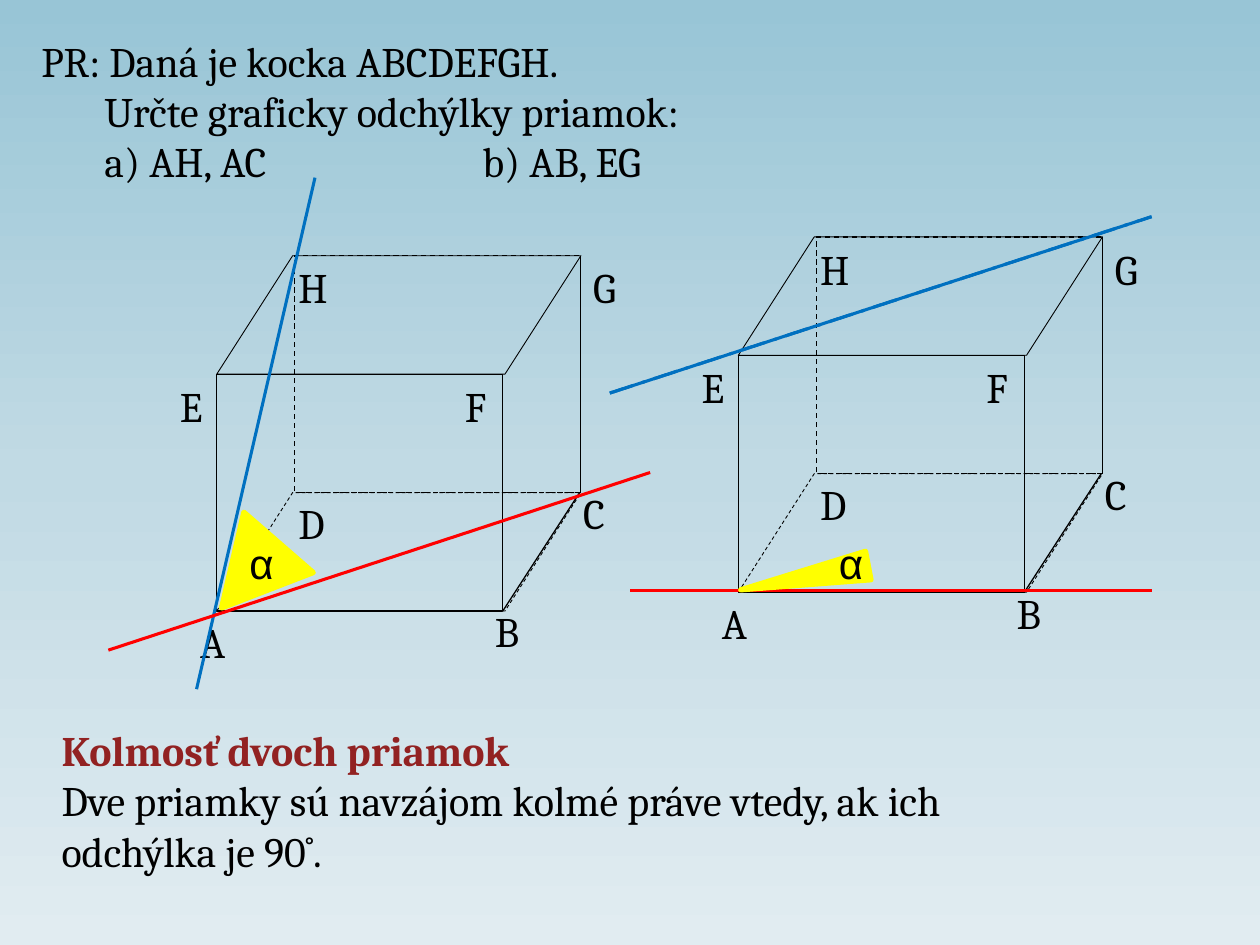
from copy import deepcopy

from pptx import Presentation
from pptx.dml.color import RGBColor
from pptx.enum.dml import MSO_LINE
from pptx.enum.shapes import MSO_CONNECTOR, MSO_SHAPE
from pptx.enum.text import MSO_AUTO_SIZE, PP_ALIGN
from pptx.oxml.ns import qn
from pptx.oxml.xmlchemy import OxmlElement
from pptx.util import Inches, Pt

STRAIGHT = MSO_CONNECTOR.STRAIGHT
PARALLELOGRAM = MSO_SHAPE.PARALLELOGRAM
RECTANGLE = MSO_SHAPE.RECTANGLE
TRIANGLE = MSO_SHAPE.FLOWCHART_MERGE
DASH = MSO_LINE.DASH
LONG_DASH_DOT = MSO_LINE.LONG_DASH_DOT
GROW = MSO_AUTO_SIZE.SHAPE_TO_FIT_TEXT
LEFT = PP_ALIGN.LEFT

BLACK = RGBColor(0x00, 0x00, 0x00)
RED = RGBColor(0xFF, 0x00, 0x00)
BLUE = RGBColor(0x00, 0x70, 0xC0)
YELLOW = RGBColor(0xFF, 0xFF, 0x00)
MAROON = RGBColor(0x92, 0x22, 0x22)
SKY = [(0, RGBColor(0x98, 0xC5, 0xD6)),
       (0.5, RGBColor(0xC1, 0xDA, 0xE4)),
       (1, RGBColor(0xE1, 0xEC, 0xF1))]

# Cube in oblique projection
EDGE = 2.27       # width of the front face
HEIGHT = 1.88     # height of the front face
SHIFT = 0.62      # sideways shift of the back face
RISE = 0.94       # upward shift of the back face
SPAN = EDGE + SHIFT
VERTEX_LABELS = {  # label offsets from the top left of the cube
    "B": (2.11, 2.73), "A": (-0.23, 2.81), "C": (2.81, 1.79),
    "D": (0.55, 1.87), "E": (-0.39, 0.94), "F": (1.87, 0.94),
    "G": (2.89, 0), "H": (0.55, 0),
}


def add_background(page):
    fill = page.background.fill
    fill.gradient()
    fill.gradient_angle = 270
    first = page.element.find(".//" + qn("a:gs"))
    first.addnext(deepcopy(first))
    for stop, (position, color) in zip(fill.gradient_stops, SKY):
        stop.position = position
        stop.color.rgb = color


def add_line(shapes, start, end, color=BLACK, width=0.75, dash=None):
    line = shapes.add_connector(STRAIGHT, *map(Inches, start + end))
    line.line.color.rgb = color
    line.line.width = Pt(width)
    if dash:
        line.line.dash_style = dash
    line._element.spPr.append(OxmlElement("a:effectLst"))


def add_shape(shapes, kind, box, color=BLACK, width=0.75, dash=None, fill=None):
    shape = shapes.add_shape(kind, *map(Inches, box))
    shape.shadow.inherit = False
    if fill:
        shape.fill.solid()
        shape.fill.fore_color.rgb = fill
    else:
        shape.fill.background()
    shape.line.color.rgb = color
    shape.line.width = Pt(width)
    if dash:
        shape.line.dash_style = dash
    return shape


def add_text(shapes, box, lines, font="Cambria", hanging=0, heading=None):
    """Place lines of text; the heading line is bold and maroon."""
    text_box = shapes.add_textbox(*map(Inches, box))
    frame = text_box.text_frame
    frame.word_wrap = True
    frame.auto_size = GROW
    for index, text in enumerate(lines):
        para = frame.paragraphs[0] if index == 0 else frame.add_paragraph()
        para.alignment = LEFT
        if hanging:
            properties = para._p.get_or_add_pPr()
            properties.set("marL", str(Inches(hanging)))
            properties.set("indent", str(-Inches(hanging)))
        span = para.add_run()
        span.text = text
        span.font.name = font
        span.font.size = Pt(24)
        span.font.bold = text == heading
        span.font.color.rgb = MAROON if text == heading else BLACK


def add_cube(page, left, top):
    shapes = page.shapes.add_group_shape().shapes
    right, middle = left + SPAN, top + HEIGHT
    # Edge CG, then base, front, top and back faces
    add_line(shapes, (right, top), (right, middle))
    faces = [
        (PARALLELOGRAM, (left, middle, SPAN, RISE), 0.5, DASH),
        (RECTANGLE, (left, top + RISE, EDGE, HEIGHT), 0.75, None),
        (PARALLELOGRAM, (left, top, SPAN, RISE), 0.5, None),
        (RECTANGLE, (left + SHIFT, top, EDGE, HEIGHT), 0.75, DASH),
    ]
    for kind, box, width, dash in faces:
        face = add_shape(shapes, kind, box, width=width, dash=dash)
        if kind == PARALLELOGRAM:
            face.adjustments[0] = 0.641
    # Edge BC
    add_line(shapes, (right - 0.01, middle), (left + EDGE, middle + RISE))
    for name, (x, y) in VERTEX_LABELS.items():
        add_text(shapes, (left + x, top + y, 0.39, 0.5), [name])


def add_angle(page, box, rotation, label_left):
    wedge = add_shape(page.shapes, TRIANGLE, box, YELLOW, 3, fill=YELLOW)
    wedge.rotation = rotation
    add_text(page.shapes, (label_left, 4.22, 0.31, 0.51), ["α"], font="Arial")


def main():
    deck = Presentation()
    deck.slide_width, deck.slide_height = Inches(10), Inches(7.5)
    page = deck.slides.add_slide(deck.slide_layouts[6])
    shapes = page.shapes
    add_background(page)

    # Definition and exercise
    heading = "Kolmosť dvoch priamok"
    add_text(shapes, (0.39, 5.7, 9.77, 1.31), [
        heading,
        "Dve priamky sú navzájom kolmé práve vtedy, ak ich",
        "odchýlka je 90˚.",
    ], hanging=0.5, heading=heading)
    add_text(shapes, (0.23, 0.23, 9.53, 1.31), [
        "PR: Daná je kocka ABCDEFGH.",
        "\tUrčte graficky odchýlky priamok:",
        "\ta) AH, AC\t\t\t\tb) AB, EG",
    ], hanging=0.5)

    # b) lines AB and EG
    line_eg = (4.84, 3.12), (9.14, 1.72)
    add_cube(page, 5.86, 1.88)
    add_line(shapes, (5, 4.69), (9.14, 4.69), RED, 1.75)
    add_line(shapes, *line_eg, BLUE, 1.75)

    # a) lines AH and AC
    add_cube(page, 1.72, 2.03)
    add_line(shapes, (1.56, 5.47), (2.5, 1.41), BLUE, 1.75)
    add_line(shapes, (0.86, 5.16), (5.16, 3.75), RED, 1.75)

    # Angles between the lines
    add_angle(page, (1.62, 4.22, 0.73, 0.69), 41, 1.88)
    add_angle(page, (6.27, 4.07, 0.23, 1.03), 79.2, 6.56)
    add_line(shapes, *line_eg, BLUE, 1.75, LONG_DASH_DOT)

    deck.save("out.pptx")


if __name__ == "__main__":
    main()
